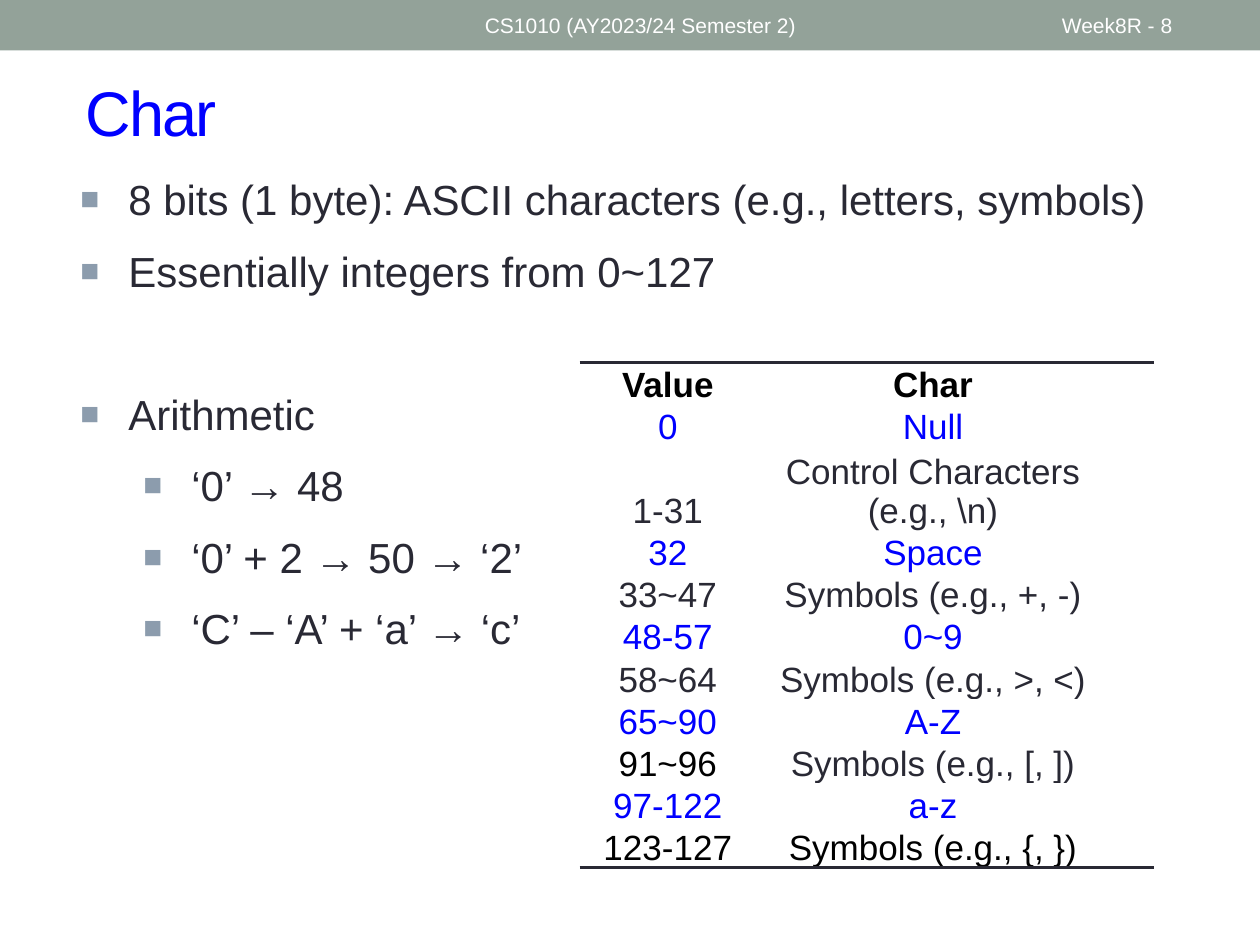
from lxml.etree import SubElement
from pptx import Presentation
from pptx.dml.color import RGBColor
from pptx.enum.shapes import MSO_SHAPE
from pptx.enum.text import MSO_ANCHOR as ANCHOR, PP_ALIGN as ALIGN
from pptx.oxml import parse_xml
from pptx.oxml.ns import nsdecls, qn
from pptx.util import Inches, Pt

BLUE = RGBColor(0x00, 0x00, 0xFF)
BLACK = RGBColor(0x00, 0x00, 0x00)
WHITE = RGBColor(0xFF, 0xFF, 0xFF)
DARK = RGBColor(0x29, 0x29, 0x34)
SAGE = RGBColor(0x93, 0xA2, 0x99)
BULLET = RGBColor(0x8C, 0x9C, 0xAD)
NO_STYLE = "{2D5ABB26-0587-4C30-8999-92F81FD0307C}"

HEADERS = [
    ("CS1010 (AY2023/24 Semester 2)", 3.75, 4.5),
    ("Week8R - 8", 8.33, 1.17),
]
BULLETS = [
    ("8 bits (1 byte): ASCII characters (e.g., letters, symbols)", 0, 0),
    ("Essentially integers from 0~127", 0, 12),
    ("Arithmetic", 0, 53),
    ("‘0’ → 48", 1, 12),
    ("‘0’ + 2 → 50 → ‘2’", 1, 12),
    ("‘C’ – ‘A’ + ‘a’ → ‘c’", 1, 12),
]
ROWS = [
    ("Value", "Char", BLACK, BLACK),
    ("0", "Null", BLUE, BLUE),
    ("1-31", "Control Characters\n(e.g., \\n)", DARK, DARK),
    ("32", "Space", BLUE, BLUE),
    ("33~47", "Symbols (e.g., +, -)", DARK, DARK),
    ("48-57", "0~9", BLUE, BLUE),
    ("58~64", "Symbols (e.g., >, <)", DARK, DARK),
    ("65~90", "A-Z", BLUE, BLUE),
    ("91~96", "Symbols (e.g., [, ])", BLACK, DARK),
    ("97-122", "a-z", BLUE, BLUE),
    ("123-127", "Symbols (e.g., {, })", BLACK, BLACK),
]
COL_WIDTHS = [1.4, 2.81, 0.35]
LINE_HEIGHT = 0.316


def write(p, text, size=24, color=DARK, bold=False, align=ALIGN.LEFT, spacing=None):
    p.alignment = align
    for i, line in enumerate(text.split("\n")):
        if i:
            p.add_line_break()
        r = p.add_run()
        r.text = line
        r.font.name = "Arial"
        r.font.size = Pt(size)
        r.font.bold = bold
        r.font.color.rgb = color
        if spacing is not None:
            r.font._element.set("spc", str(spacing))


def add_box(slide, left, top, width, height, anchor=ANCHOR.TOP):
    tf = slide.shapes.add_textbox(*map(Inches, (left, top, width, height))).text_frame
    tf.word_wrap = True
    tf.vertical_anchor = anchor
    return tf


def add_bullet(p, level):
    p.level = level
    pPr = p._p.get_or_add_pPr()
    pPr.set("marL", str(Inches(0.38 + 0.5 * level)))
    pPr.set("indent", str(Inches(-0.38)))
    color = SubElement(pPr, qn("a:buClr"))
    SubElement(color, qn("a:srgbClr"), val=str(BULLET))
    SubElement(pPr, qn("a:buSzPct"), val="75000")
    SubElement(pPr, qn("a:buFont"), typeface="Arial")
    SubElement(pPr, qn("a:buChar"), char="■")


def add_border(cell, side):
    cell._tc.get_or_add_tcPr().insert(0, parse_xml(
        f'<a:{side} {nsdecls("a")} w="{Pt(2)}"><a:solidFill>'
        f'<a:srgbClr val="{DARK}"/></a:solidFill></a:{side}>'))


def add_ascii_table(slide):
    heights = [LINE_HEIGHT * (1 + row[1].count("\n")) for row in ROWS]
    frame = slide.shapes.add_table(
        len(ROWS), len(COL_WIDTHS), Inches(4.6), Inches(2.88),
        Inches(sum(COL_WIDTHS)), Inches(sum(heights)))
    table = frame.table
    table.first_row = table.horz_banding = False
    table._tbl.tblPr.find(qn("a:tableStyleId")).text = NO_STYLE
    for col, width in zip(table.columns, COL_WIDTHS):
        col.width = Inches(width)
    for i, (value, char, value_color, char_color) in enumerate(ROWS):
        table.rows[i].height = Inches(heights[i])
        contents = [(value, value_color), (char, char_color), ("", DARK)]
        for cell, (text, color) in zip(table.rows[i].cells, contents):
            cell.fill.solid()
            cell.fill.fore_color.rgb = WHITE
            cell.vertical_anchor = ANCHOR.BOTTOM
            cell.margin_left = cell.margin_right = Inches(0.01)
            cell.margin_top = cell.margin_bottom = 0
            p = cell.text_frame.paragraphs[0]
            if text:
                write(p, text, size=20, color=color, bold=i == 0, align=ALIGN.CENTER)
            else:
                SubElement(p._p, qn("a:endParaRPr"), sz="1000")
            if i == 0:
                add_border(cell, "lnT")
            elif i == len(ROWS) - 1:
                add_border(cell, "lnB")


def main():
    prs = Presentation()
    prs.slide_width, prs.slide_height = Inches(10), Inches(7.5)
    slide = prs.slides.add_slide(prs.slide_layouts[5])

    band = slide.shapes.add_shape(MSO_SHAPE.RECTANGLE, 0, 0, prs.slide_width, Inches(0.4))
    band.shadow.inherit = False
    band.fill.solid()
    band.fill.fore_color.rgb = SAGE
    band.line.fill.background()

    title = slide.shapes.title
    title.left, title.top = Inches(0.58), Inches(0.42)
    title.width, title.height = Inches(9.17), Inches(0.92)
    title.text_frame.vertical_anchor = ANCHOR.MIDDLE
    write(title.text_frame.paragraphs[0], "Char", size=36, color=BLUE, spacing=-100)

    for text, left, width in HEADERS:
        tf = add_box(slide, left, 0.02, width, 0.36, ANCHOR.MIDDLE)
        write(tf.paragraphs[0], text, size=12, color=WHITE)

    add_ascii_table(slide)

    tf = add_box(slide, 0.54, 1.33, 8.96, 2.67)
    for i, (text, level, before) in enumerate(BULLETS):
        p = tf.add_paragraph() if i else tf.paragraphs[0]
        if before:
            p.space_before = Pt(before)
        add_bullet(p, level)
        write(p, text)

    prs.save("out.pptx")


if __name__ == "__main__":
    main()
